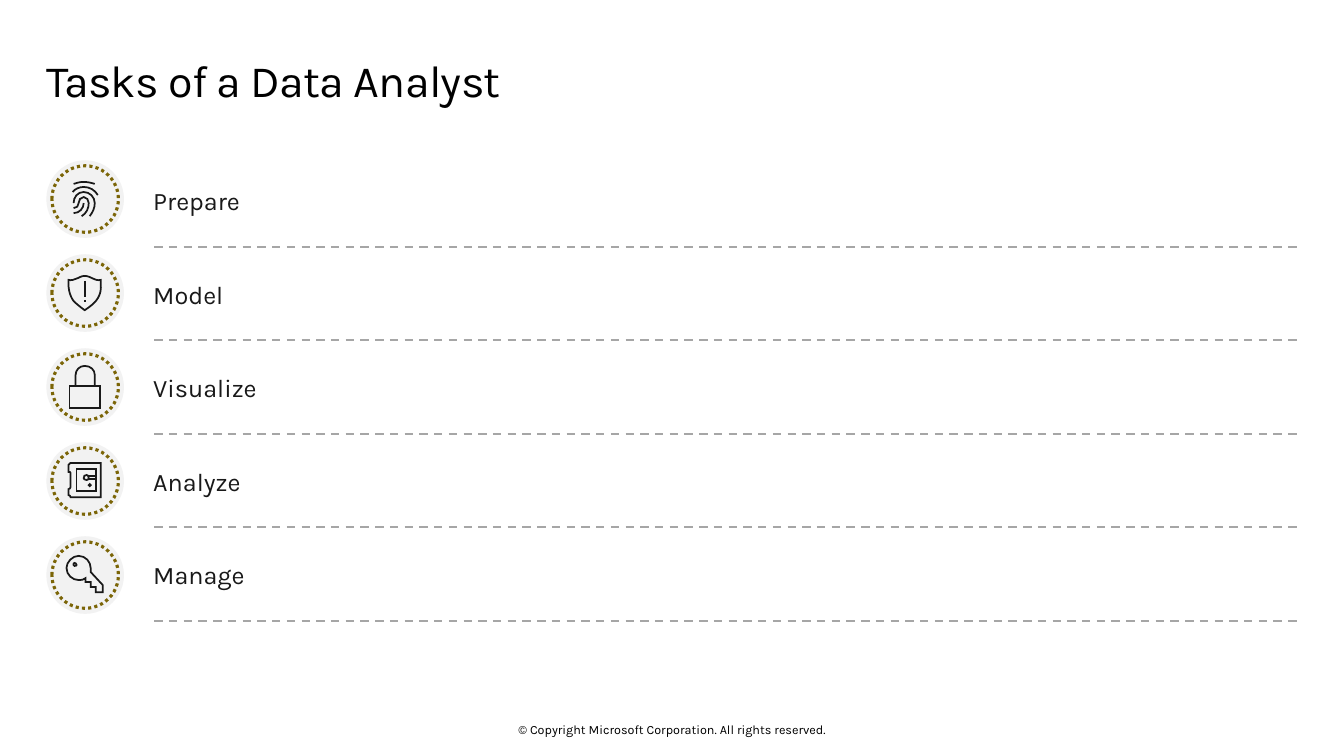
from lxml import etree
from pptx import Presentation
from pptx.dml.color import RGBColor
from pptx.enum.dml import MSO_LINE
from pptx.enum.shapes import MSO_CONNECTOR, MSO_SHAPE
from pptx.enum.text import MSO_ANCHOR, PP_ALIGN
from pptx.oxml.ns import qn
from pptx.util import Inches, Pt

DASH, DOTS = MSO_LINE.DASH, MSO_LINE.ROUND_DOT
OVAL, STRAIGHT = MSO_SHAPE.OVAL, MSO_CONNECTOR.STRAIGHT
TOP, MIDDLE = MSO_ANCHOR.TOP, MSO_ANCHOR.MIDDLE
LEFT, CENTER = PP_ALIGN.LEFT, PP_ALIGN.CENTER

BLACK = RGBColor(0x00, 0x00, 0x00)
INK = RGBColor(0x19, 0x19, 0x19)
GREY = RGBColor(0xA6, 0xA6, 0xA6)
PALE = RGBColor(0xF2, 0xF2, 0xF2)
GOLD = RGBColor(0x7B, 0x65, 0x07)

# Content
TITLE = "Tasks of a Data Analyst"
COPYRIGHT = "© Copyright Microsoft Corporation. All rights reserved."

# Icon strokes: (closed, points) in 1/100 inch from the icon's centre.
# Two numbers are a straight step, six are a curve (two handles and an end).
FINGERPRINT = [
    (False, [(-1, 4), (-1, 9, -5, 14, -11, 14)]),
    (False, [(10, -15), (7, -16, 3, -17, -1, -17), (-5, -17, -8, -16, -11, -15)]),
    (False, [(13, -4), (10, -9, 5, -12, -1, -12), (-5, -12, -10, -10, -12, -7)]),
    (False, [(5, 17), (8, 13, 10, 9, 10, 4), (10, -2, 5, -7, -1, -7),
             (-7, -7, -11, -2, -11, 4)]),
    (False, [(-3, 17), (2, 14, 4, 9, 4, 4), (4, 1, 2, -2, -1, -2),
             (-4, -2, -6, 1, -6, 4), (-6, 7, -8, 9, -11, 9)]),
]
SHIELD = [
    (True, [(-11, 8), (-16, 1, -16, -7, -16, -7), (-16, -13),
            (-16, -13, -13, -12, -9, -14), (-5, -15, -4, -17, 0, -17),
            (4, -17, 6, -15, 9, -14), (13, -12, 16, -13, 16, -13), (16, -7),
            (16, -7, 17, 1, 11, 8), (8, 12, 0, 17, 0, 17), (0, 17, -7, 12, -11, 8)]),
    (False, [(0, -12), (0, 4)]),
    (False, [(0, 7), (0, 9)]),
]
PADLOCK = [
    (True, [(15, 21), (-15, 21), (-15, -1), (15, -1)]),
    (False, [(10, -1), (10, -12), (10, -17, 6, -21, 0, -21),
             (-5, -21, -9, -17, -9, -12), (-9, -1)]),
]
SAFE = [
    (True, [(16, -18), (16, 16), (-14, 16), (-14, 15, -15, 14, -16, 14), (-16, 8),
            (-15, 8, -14, 7, -14, 6), (-14, -8), (-14, -9, -15, -9, -16, -9),
            (-16, -16), (-15, -16, -14, -17, -14, -18)]),
    (True, [(11, -12), (-8, -12), (-8, 10), (11, 10)]),
    (True, [(2, -1), (3, -1, 4, -2, 4, -3), (4, -5, 3, -6, 2, -6),
            (0, -6, -1, -5, -1, -3), (-1, -2, 0, -1, 2, -1)]),
    (True, [(5, 5), (6, 5, 6, 5, 6, 4), (6, 4, 6, 3, 5, 3),
            (5, 3, 4, 4, 4, 4), (4, 5, 4, 5, 5, 5)]),
    (False, [(4, -5), (11, -5)]),
    (False, [(4, -2), (11, -2)]),
]
KEY = [
    (True, [(1, 3), (-1, 5, -3, 5, -6, 5), (-12, 5, -18, 0, -18, -7),
            (-18, -13, -12, -19, -6, -19), (1, -19, 6, -13, 6, -7),
            (6, -5, 6, -4, 6, -3), (18, 10), (18, 17), (11, 17), (11, 12),
            (6, 12), (6, 7), (1, 7)]),
    (True, [(-10, -9), (-9, -9, -8, -9, -8, -10), (-8, -11, -9, -12, -10, -12),
            (-11, -12, -11, -11, -11, -10), (-11, -9, -11, -9, -10, -9)]),
]
TASKS = [("Prepare", FINGERPRINT), ("Model", SHIELD), ("Visualize", PADLOCK),
         ("Analyze", SAFE), ("Manage", KEY)]

# Grid, in inches
WIDTH, HEIGHT = 13.33, 7.5
MARGIN = 0.46
TEXT_LEFT, TEXT_TOP, TEXT_WIDTH, TEXT_HEIGHT = 1.52, 1.59, 11.36, 0.8
RULE_LEFT, RULE_RIGHT, RULE_TOP = 1.53, 12.86, 2.45
ROW_PITCH, BADGE_PITCH = 3.71 / 4, 3.73 / 4
DISC, RING = 0.77, 0.66
BADGE_X, BADGE_TOP = MARGIN + DISC / 2, TEXT_TOP + DISC / 2
ICON_X = 0.84

TITLE_FONT = {"name": "Karla", "size": Pt(32)}
TASK_FONT = {"name": "Karla", "size": Pt(18)}
SMALL_FONT = {"name": "Karla", "size": Pt(9)}


def add_text(page, text, place, font, color, anchor=MIDDLE, align=LEFT,
             insets=(0, 0, 0, 0)):
    box = page.shapes.add_textbox(*map(Inches, place))
    frame = box.text_frame
    layout = dict(zip(("margin_left", "margin_top", "margin_right", "margin_bottom"),
                      map(Inches, insets)))
    layout.update(word_wrap=True, vertical_anchor=anchor)
    for name, value in layout.items():
        setattr(frame, name, value)
    para = frame.paragraphs[0]
    para.alignment = align
    span = para.add_run()
    span.text = text
    for name, value in font.items():
        setattr(span.font, name, value)
    span.font.color.rgb = color
    return para, span


def set_line(shape, color, width, dash=None):
    shape.line.color.rgb = color
    shape.line.width = Pt(width)
    if dash:
        shape.line.dash_style = dash


def add_circle(badge, size, center_y):
    circle = badge.shapes.add_shape(
        OVAL, Inches(BADGE_X - size / 2), Inches(center_y - size / 2),
        Inches(size), Inches(size))
    circle.shadow.inherit = False
    return circle


def add_icon(badge, strokes, center_y):
    def spot(x, y):
        return Inches(ICON_X + x / 100), Inches(center_y + y / 100)

    # Straight outline through the end of every step
    builder = badge.shapes.build_freeform(*spot(*strokes[0][1][0]))
    for number, (closed, points) in enumerate(strokes):
        if number:
            builder.move_to(*spot(*points[0]))
        builder.add_line_segments([spot(*step[-2:]) for step in points[1:]], close=closed)
    icon = builder.convert_to_shape()

    # Bend the curved steps by adding their two handles
    steps = [step for _, points in strokes for step in points[1:]]
    lines = list(icon._element.iter(qn("a:lnTo")))
    for step, line in zip(steps, lines):
        if len(step) == 6:
            line.tag = qn("a:cubicBezTo")
            for i, (x, y) in enumerate((spot(*step[0:2]), spot(*step[2:4]))):
                handle = etree.Element(qn("a:pt"), x=str(x - icon.left), y=str(y - icon.top))
                line.insert(i, handle)

    icon.shadow.inherit = False
    icon.fill.background()
    set_line(icon, INK, 1.25)
    etree.SubElement(icon.line._get_or_add_ln(), qn("a:miter"), lim="800000")


def add_badge(page, strokes, center_y):
    badge = page.shapes.add_group_shape()
    disc = add_circle(badge, DISC, center_y)
    disc.fill.solid()
    disc.fill.fore_color.rgb = PALE
    disc.line.fill.background()
    ring = add_circle(badge, RING, center_y)
    ring.fill.background()
    set_line(ring, GOLD, 2.25, DOTS)
    add_icon(badge, strokes, center_y)


def main():
    deck = Presentation()
    deck.slide_width, deck.slide_height = Inches(WIDTH), Inches(HEIGHT)
    page = deck.slides.add_slide(deck.slide_layouts[6])

    # Dashed rules under the rows
    for row in range(len(TASKS)):
        y = Inches(RULE_TOP + row * ROW_PITCH)
        rule = page.shapes.add_connector(STRAIGHT, Inches(RULE_LEFT), y,
                                         Inches(RULE_RIGHT), y)
        set_line(rule, GREY, 1.5, DASH)
        etree.SubElement(rule._element.spPr, qn("a:effectLst"))

    # Copyright line and title
    add_text(page, COPYRIGHT, ((WIDTH - 4.5) / 2, 7.16, 4.5, 0.15), SMALL_FONT, BLACK,
             align=CENTER)
    para, span = add_text(page, TITLE, (MARGIN, 0.48, 12.4, 0.74), TITLE_FONT, BLACK,
                          anchor=TOP, insets=(0, 0.1, 0.16, 0.1))
    para.line_spacing = 0.9
    span.font._element.set("spc", "-50")

    # Task labels, then their badges
    for row, (task, _) in enumerate(TASKS):
        add_text(page, task, (TEXT_LEFT, TEXT_TOP + row * ROW_PITCH, TEXT_WIDTH, TEXT_HEIGHT),
                 TASK_FONT, INK)
    for row, (_, strokes) in enumerate(TASKS):
        add_badge(page, strokes, BADGE_TOP + row * BADGE_PITCH)

    deck.save("out.pptx")


if __name__ == "__main__":
    main()
